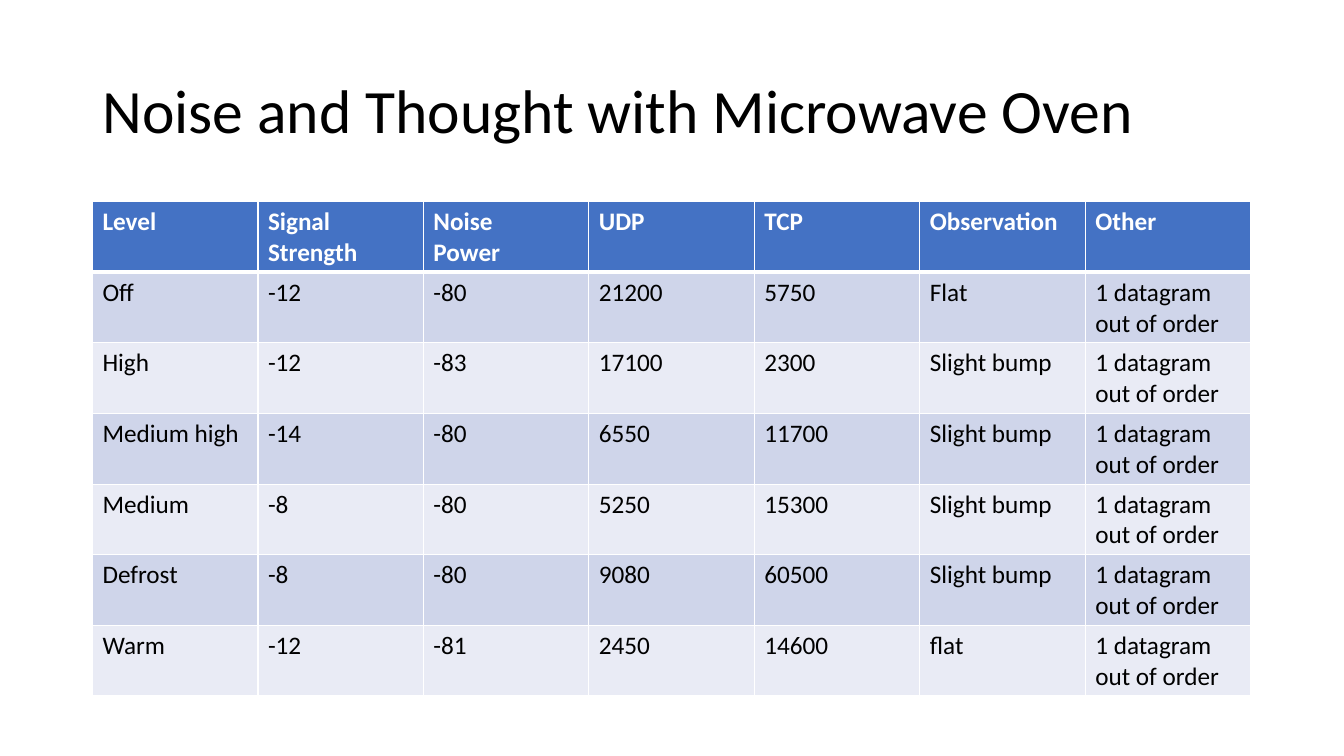
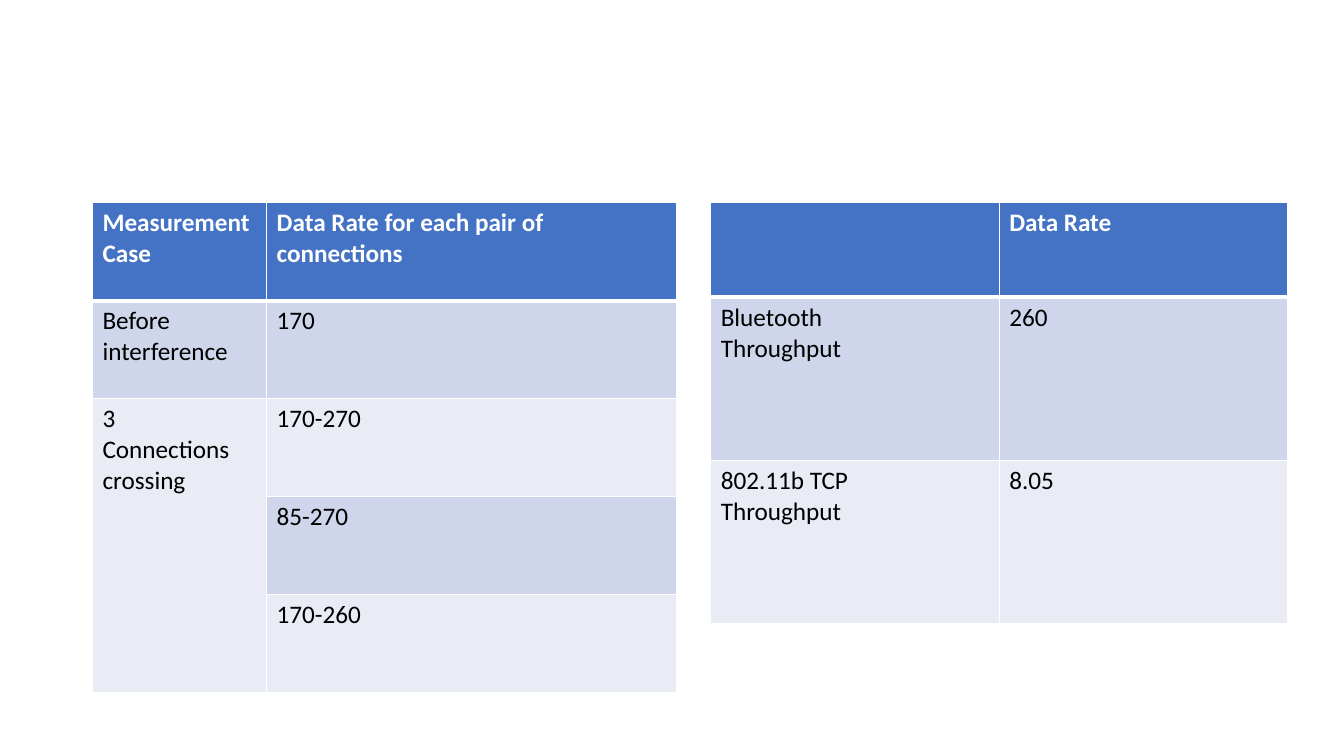
from lxml import etree
from pptx import Presentation
from pptx.dml.color import RGBColor
from pptx.enum.text import MSO_ANCHOR
from pptx.oxml.ns import qn
from pptx.util import Cm, Pt

MIDDLE = MSO_ANCHOR.MIDDLE
FONT = "Calibri"
WHITE, BLACK, HEADER = "FFFFFF", "000000", "4472C4"
BANDS = ["CFD5EA", "E9EBF5"]
LEFT = 2.33

TITLE = "Noise and Thought with Microwave Oven"
ORDER = "1 datagram out of order"
OVEN = [
    ["Level", "Signal\nStrength", "Noise\nPower", "UDP", "TCP", "Observation", "Other"],
    ["Off", "-12", "-80", "21200", "5750", "Flat", ORDER],
    ["High", "-12", "-83", "17100", "2300", "Slight bump", ORDER],
    ["Medium high", "-14", "-80", "6550", "11700", "Slight bump", ORDER],
    ["Medium", "-8", "-80", "5250", "15300", "Slight bump", ORDER],
    ["Defrost", "-8", "-80", "9080", "60500", "Slight bump", ORDER],
    ["Warm", "-12", "-81", "2450", "14600", "flat", ORDER],
]
PAIRS = [
    ["Measurement\nCase", "Data Rate for each pair of connections"],
    ["Before\ninterference", "170"],
    ["3\nConnections\ncrossing", "170-270"],
    ["", "85-270"],
    ["", "170-260"],
]
THROUGHPUT = [
    ["", "Data Rate"],
    ["Bluetooth\nThroughput", "260"],
    ["802.11b TCP\nThroughput", "8.05"],
]


def color(value):
    return RGBColor.from_string(value)


def style_text(tf, size, value, bold=False):
    for p in tf.paragraphs:
        for r in p.runs:
            r.font.name = FONT
            r.font.size = Pt(size)
            r.font.bold = bold
            r.font.color.rgb = color(value)


def add_borders(cell, widths):
    tcPr = cell._tc.get_or_add_tcPr()
    for i, (side, width) in enumerate(widths.items()):
        ln = etree.Element(qn("a:ln" + side), w=str(Pt(width)))
        fill = etree.SubElement(ln, qn("a:solidFill"))
        etree.SubElement(fill, qn("a:srgbClr"), val=WHITE)
        tcPr.insert(i, ln)


def add_grid(s, rows, left, top, widths, heights):
    table = s.shapes.add_table(len(rows), len(widths), Cm(left), Cm(top),
                               Cm(sum(widths)), Cm(sum(heights))).table
    for column, width in zip(table.columns, widths):
        column.width = Cm(width)
    for i, (row, height) in enumerate(zip(rows, heights)):
        table.rows[i].height = Cm(height)
        head = i == 0
        for j, text in enumerate(row):
            cell = table.cell(i, j)
            cell.fill.solid()
            cell.fill.fore_color.rgb = color(HEADER if head else BANDS[(i - 1) % 2])
            add_borders(cell, {"L": 1, "R": 1, "T": 1, "B": 3} if head
                        else {"L": 1, "R": 1, "B": 1})
            cell.text_frame.text = text
            style_text(cell.text_frame, 18, WHITE if head else BLACK, head)
    return table


def add_title(s, text):
    tf = s.shapes.add_textbox(Cm(LEFT), Cm(1.01), Cm(29.21), Cm(3.68)).text_frame
    tf.word_wrap = True
    tf.vertical_anchor = MIDDLE
    tf.text = text
    tf.paragraphs[0].line_spacing = 0.9
    style_text(tf, 44, BLACK)


prs = Presentation()
prs.slide_width, prs.slide_height = Cm(33.87), Cm(19.05)
blank = prs.slide_layouts[6]

s = prs.slides.add_slide(blank)
add_title(s, TITLE)
add_grid(s, OVEN, LEFT, 5.08, [4.17] * 7, [1.78] * 7)

s = prs.slides.add_slide(blank)
pairs = add_grid(s, PAIRS, LEFT, 5.11, [4.39, 10.34], [2.47] * 5)
pairs.cell(2, 0).merge(pairs.cell(4, 0))
add_grid(s, THROUGHPUT, 17.91, 5.11, [7.27] * 2, [2.38, 4.11, 4.11])

prs.save("out.pptx")
